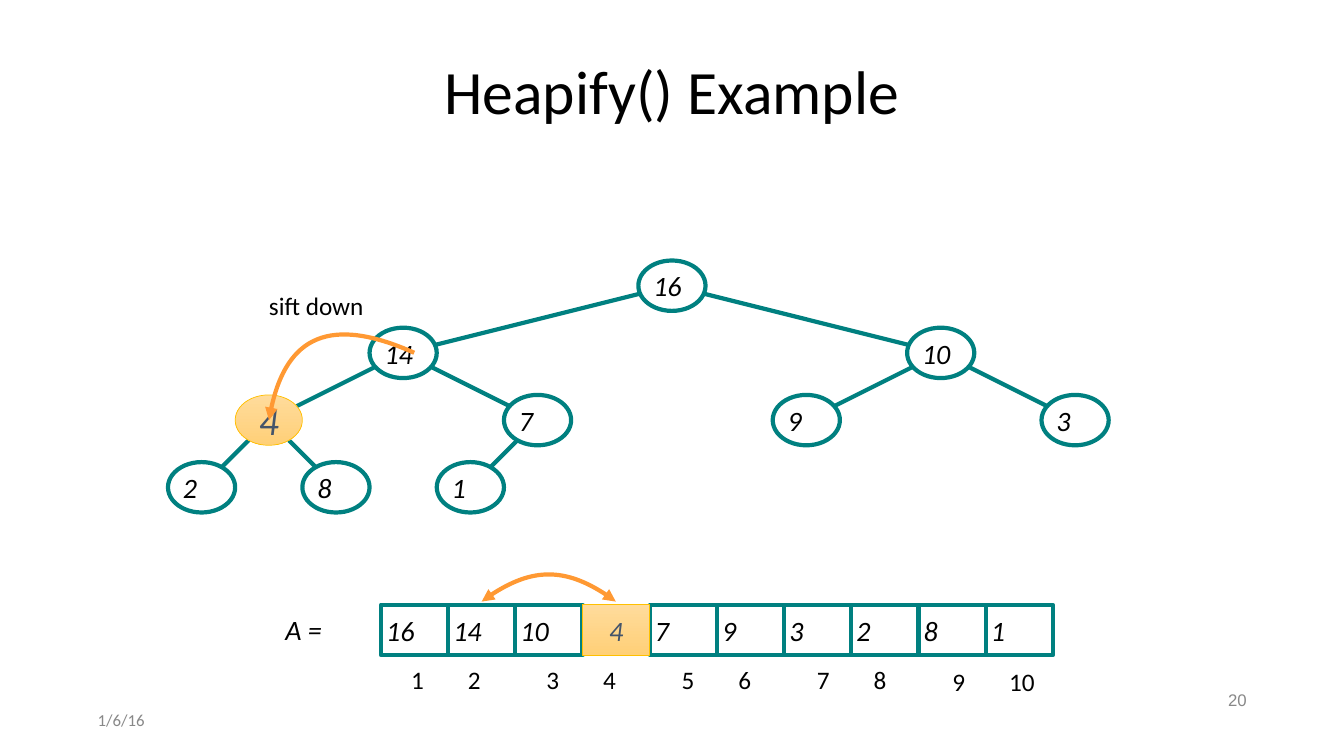
from math import hypot

from lxml.etree import SubElement
from pptx import Presentation
from pptx.dml.color import RGBColor
from pptx.enum.shapes import MSO_CONNECTOR as LineKind, MSO_SHAPE as Preset
from pptx.enum.text import MSO_ANCHOR as Anchor, PP_ALIGN as Align
from pptx.oxml.ns import qn
from pptx.util import Cm, Pt

COLORS = {
    "black": "000000",
    "white": "FFFFFF",
    "teal": "008080",
    "orange": "FF9933",
    "gold": "FFC000",
    "glow_top": "FFDB9B",
    "glow_bottom": "FFD078",
    "slate": "44546A",
    "gray": "888888",
}
HEAP = [16, 14, 10, 4, 7, 9, 3, 2, 8, 1]
SLOTS = [10, 6, 14, 4, 8, 12, 16, 3, 5, 7]
SIFTED = 3
STEP = 5.08 / 3
NODE_HEIGHT = 1.27
ROOT_Y = 7.2
ARRAY_LEFT = 9.6
ARRAY_TOP = 15.24


def color(name):
    return RGBColor.from_string(COLORS[name])


class HeapSlide:
    font = "Calibri"
    inset = 0.13
    stroke = 3

    def __init__(self, deck):
        self.slide = deck.slides.add_slide(deck.slide_layouts[5])
        self.shapes = self.slide.shapes

    def set_text(self, frame, text, size, ink="black", align=Align.LEFT,
                 italic=False, anchor=Anchor.MIDDLE, wrap=True, font=None):
        frame.margin_left = frame.margin_right = Cm(self.inset)
        frame.margin_top = frame.margin_bottom = Cm(0)
        frame.vertical_anchor = anchor
        frame.word_wrap = wrap
        paragraph = frame.paragraphs[0]
        paragraph.text = text
        paragraph.alignment = align
        paragraph.font.name = font or self.font
        paragraph.font.size = Pt(size)
        paragraph.font.italic = italic
        paragraph.font.color.rgb = color(ink)

    def title(self, text, left, top, width, height):
        heading = self.shapes.title
        heading.left, heading.top = Cm(left), Cm(top)
        heading.width, heading.height = Cm(width), Cm(height)
        self.set_text(heading.text_frame, text, 44, align=Align.CENTER)
        heading.text_frame.paragraphs[0].line_spacing = 0.9

    def label(self, text, left, top, width, height, size, **style):
        box = self.shapes.add_textbox(Cm(left), Cm(top), Cm(width), Cm(height))
        self.set_text(box.text_frame, text, size, **style)

    def value(self, preset, number, left, top, sifted, sifted_size=20):
        holder = self.shapes.add_shape(
            preset, Cm(left), Cm(top), Cm(STEP), Cm(NODE_HEIGHT))
        holder.shadow.inherit = False
        if sifted:
            holder.fill.gradient()
            holder.fill.gradient_angle = 270
            for stop, shade in zip(holder.fill.gradient_stops,
                                   ("glow_top", "glow_bottom")):
                stop.color.rgb = color(shade)
            holder.line.color.rgb = color("gold")
            holder.line.width = Pt(0.5)
            self.set_text(holder.text_frame, str(number), sifted_size, "slate",
                          Align.CENTER, italic=True)
        else:
            holder.fill.solid()
            holder.fill.fore_color.rgb = color("white")
            holder.line.color.rgb = color("teal")
            holder.line.width = Pt(self.stroke)
            self.set_text(holder.text_frame, str(number), 20, italic=True)

    def edge(self, parent, child):
        (x1, y1), (x2, y2) = parent, child
        dx, dy = x2 - x1, y2 - y1
        trim = 1 / hypot(dx / (STEP / 2), dy / (NODE_HEIGHT / 2))
        branch = self.shapes.add_connector(
            LineKind.STRAIGHT,
            Cm(x1 + trim * dx), Cm(y1 + trim * dy),
            Cm(x2 - trim * dx), Cm(y2 - trim * dy))
        branch.line.color.rgb = color("teal")
        branch.line.width = Pt(self.stroke)
        SubElement(branch._element.spPr, qn("a:effectLst"))

    def arc(self, points, heads):
        start, *rest = [(Cm(x), Cm(y)) for x, y in points]
        builder = self.shapes.build_freeform(*start)
        builder.add_line_segments(rest, close=False)
        swing = builder.convert_to_shape()
        swing.shadow.inherit = False
        swing.fill.background()
        swing.line.color.rgb = color("orange")
        swing.line.width = Pt(self.stroke)
        outline = swing._element.find(".//" + qn("a:path"))
        segments = outline.findall(qn("a:lnTo"))
        curve = SubElement(outline, qn("a:cubicBezTo"))
        for segment in segments:
            curve.append(segment[0])
            outline.remove(segment)
        pen = swing._element.spPr.find(qn("a:ln"))
        for head in heads:
            SubElement(pen, qn("a:" + head), type="triangle")


def node_center(index):
    level = (index + 1).bit_length() - 1
    return SLOTS[index] * STEP, ROOT_Y + level * STEP


def main():
    deck = Presentation()
    deck.slide_width, deck.slide_height = Cm(33.87), Cm(19.05)
    page = HeapSlide(deck)
    page.title("Heapify() Example", 2.33, 1.02, 29.21, 2.71)
    page.label("1/6/16", 2.33, 17.78, 7.62, 0.74, 12, ink="gray")
    page.label("20", 23.93, 17.27, 7.62, 0.74, 12, ink="gray",
               align=Align.RIGHT, font="Arial")

    for child in range(1, len(HEAP)):
        page.edge(node_center((child - 1) // 2), node_center(child))
    for index, number in enumerate(HEAP):
        x, y = node_center(index)
        page.value(Preset.OVAL, number, x - STEP / 2, y - NODE_HEIGHT / 2,
                   index == SIFTED, sifted_size=28)

    page.label("A =", 7.06, 15.32, 1.22, 1.09, 20, italic=True, wrap=False)
    for index in sorted(range(len(HEAP)), key=lambda place: place == SIFTED):
        page.value(Preset.RECTANGLE, HEAP[index], ARRAY_LEFT + index * STEP,
                   ARRAY_TOP, index == SIFTED)
    for index in range(len(HEAP)):
        pair, second = divmod(index, 2)
        page.label(str(index + 1), 10.23 + 3.41 * pair + 1.43 * second,
                   16.78 if pair == 4 else 16.73, 0.94 if index == 9 else 0.61,
                   0.8, 18, anchor=Anchor.TOP, wrap=False)

    page.label("sift down", 6.65, 7.32, 2.69, 0.8, 18,
               anchor=Anchor.TOP, wrap=False)
    page.arc([(10.44, 8.89), (8.33, 7.95), (7.11, 8.51), (6.78, 10.59)],
             ["tailEnd"])
    page.arc([(12.14, 15.16), (13.26, 14.3), (14.4, 14.3), (15.52, 15.16)],
             ["headEnd", "tailEnd"])
    deck.save("out.pptx")


if __name__ == "__main__":
    main()
